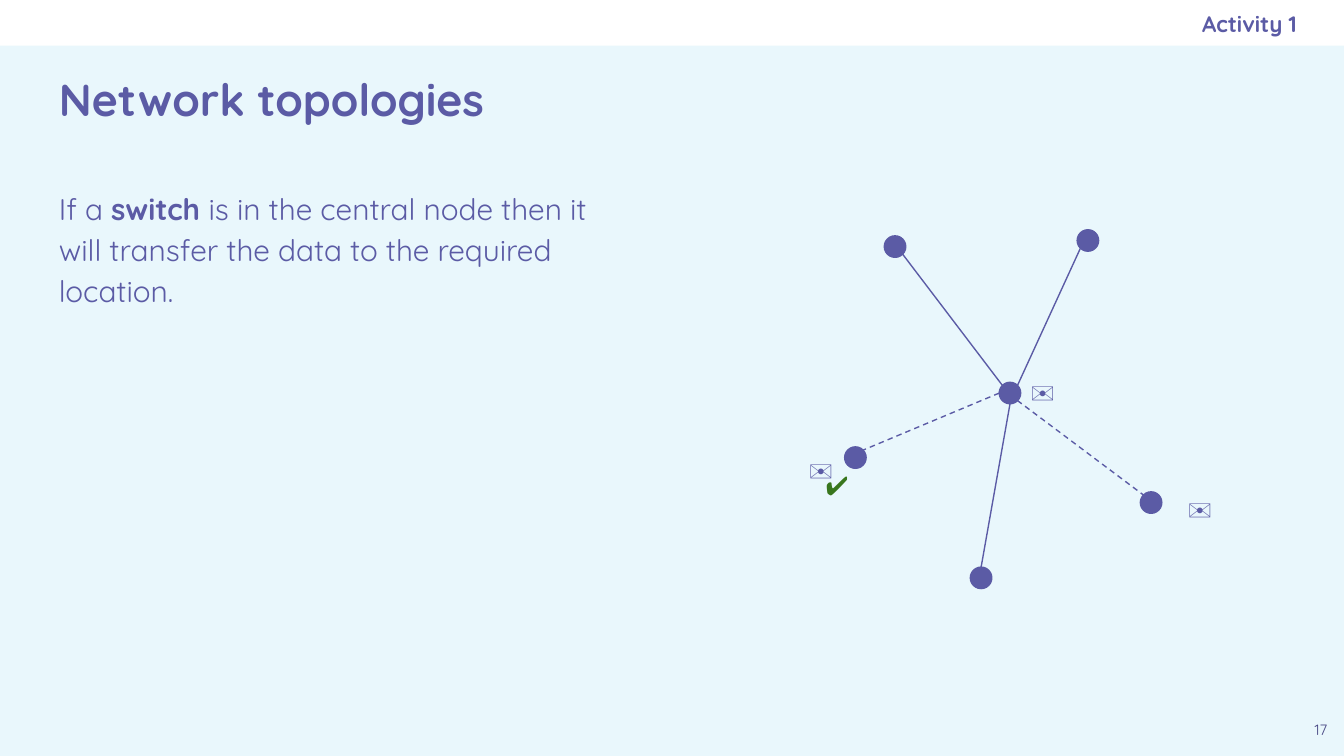
from dataclasses import dataclass
from math import cos, radians, sin

from lxml.etree import SubElement
from pptx import Presentation
from pptx.dml.color import RGBColor
from pptx.enum.dml import MSO_LINE
from pptx.enum.shapes import MSO_CONNECTOR, MSO_SHAPE
from pptx.enum.text import MSO_ANCHOR, PP_ALIGN
from pptx.oxml.ns import qn
from pptx.util import Emu, Pt

PX = 4572
NODE_SIZE = 32
INSET = 20


@dataclass(frozen=True)
class Theme:
    font: str = "Quicksand"
    background: str = "E9F7FC"
    banner: str = "FFFFFF"
    main: str = "5B5BA5"
    number: str = "494985"
    success: str = "38761D"
    title_size: int = 24
    body_size: int = 16
    activity_size: int = 12
    number_size: int = 8
    envelope_size: int = 18
    tick_size: int = 14
    line_width: float = 0.75


def px(*lengths):
    return [Emu(length * PX) for length in lengths]


class SlideBuilder:
    def __init__(self, slide, theme):
        self.slide = slide
        self.theme = theme
        background = slide.background.fill
        background.solid()
        background.fore_color.rgb = RGBColor.from_string(theme.background)

    def shape(self, kind, box, fill, outline=None):
        shape = self.slide.shapes.add_shape(kind, *px(*box))
        shape.shadow.inherit = False
        shape.fill.solid()
        shape.fill.fore_color.rgb = RGBColor.from_string(fill)
        if outline:
            shape.line.color.rgb = RGBColor.from_string(outline)
            shape.line.width = Pt(self.theme.line_width)
        else:
            shape.line.fill.background()

    def node(self, left, top):
        self.shape(MSO_SHAPE.OVAL, (left, top, NODE_SIZE, NODE_SIZE),
                   self.theme.main, self.theme.main)

    def link(self, start, end, dashed=False):
        link = self.slide.shapes.add_connector(
            MSO_CONNECTOR.STRAIGHT, *px(*start, *end))
        link.line.color.rgb = RGBColor.from_string(self.theme.main)
        link.line.width = Pt(self.theme.line_width)
        if dashed:
            link.line.dash_style = MSO_LINE.DASH
        SubElement(link._element.spPr, qn("a:effectLst"))

    def text(self, box, runs, size, color=None, bold=None,
             align=PP_ALIGN.LEFT, anchor=MSO_ANCHOR.TOP,
             top_inset=INSET, right_inset=INSET):
        frame = self.slide.shapes.add_textbox(*px(*box)).text_frame
        frame.word_wrap = True
        frame.vertical_anchor = anchor
        (frame.margin_left, frame.margin_top, frame.margin_right,
         frame.margin_bottom) = px(INSET, top_inset, right_inset, INSET)
        paragraph = frame.paragraphs[0]
        paragraph.alignment = align
        paragraph.font.name = self.theme.font
        paragraph.font.size = Pt(size)
        paragraph.font.bold = bold
        paragraph.font.color.rgb = RGBColor.from_string(color or self.theme.main)
        for words, strong in runs:
            run = paragraph.add_run()
            run.text = words
            if strong:
                run.font.bold = True
        return paragraph

    def symbol(self, box, character, size, color=None):
        self.text(box, [(character, False)], size, color)


def rim_point(node, degrees):
    radius = NODE_SIZE / 2
    left, top = node
    return (round(left + radius + radius * cos(radians(degrees))),
            round(top + radius + radius * sin(radians(degrees))))


def main():
    theme = Theme()
    presentation = Presentation()
    presentation.slide_width, presentation.slide_height = px(2000, 1125)
    slide = presentation.slides.add_slide(presentation.slide_layouts[6])
    builder = SlideBuilder(slide, theme)

    builder.shape(MSO_SHAPE.RECTANGLE, (0, 0, 2000, 68), theme.banner)
    explanation = builder.text(
        (68, 256, 896, 800),
        [("If a ", False), ("switch ", True),
         ("is in the central node then it will transfer the data "
          "to the required location.", False)],
        theme.body_size)
    explanation.line_spacing = 1.15
    explanation.space_after = Pt(16)
    builder.text((68, 71, 1864, 152), [("Network topologies", False)],
                 theme.title_size, bold=True, anchor=MSO_ANCHOR.MIDDLE)
    builder.text((1932, 1056, 68, 68), [("17", False)], theme.number_size,
                 theme.number, align=PP_ALIGN.CENTER, top_inset=27)
    builder.text((1150, 0, 780, 69), [("Activity 1", False)],
                 theme.activity_size, bold=True, align=PP_ALIGN.RIGHT,
                 anchor=MSO_ANCHOR.MIDDLE, right_inset=0)

    switch = (1487, 569)
    spokes = [
        ((1316, 351), 225, 45, False),
        ((1603, 342), 315, 135, False),
        ((1697, 732), 45, 225, True),
        ((1444, 844), 90, 270, False),
        ((1257, 665), 180, 315, True),
    ]
    builder.node(*switch)
    for computer, *_ in spokes:
        builder.node(*computer)
    for computer, switch_angle, computer_angle, dashed in spokes:
        builder.link(rim_point(switch, switch_angle),
                     rim_point(computer, computer_angle), dashed)

    for left, top in [(1748, 708), (1514, 534), (1184, 650)]:
        builder.symbol((left, top, 94, 100), "✉", theme.envelope_size)
    builder.symbol((1209, 679, 86, 88), "✔", theme.tick_size, theme.success)

    presentation.save("out.pptx")


if __name__ == "__main__":
    main()
